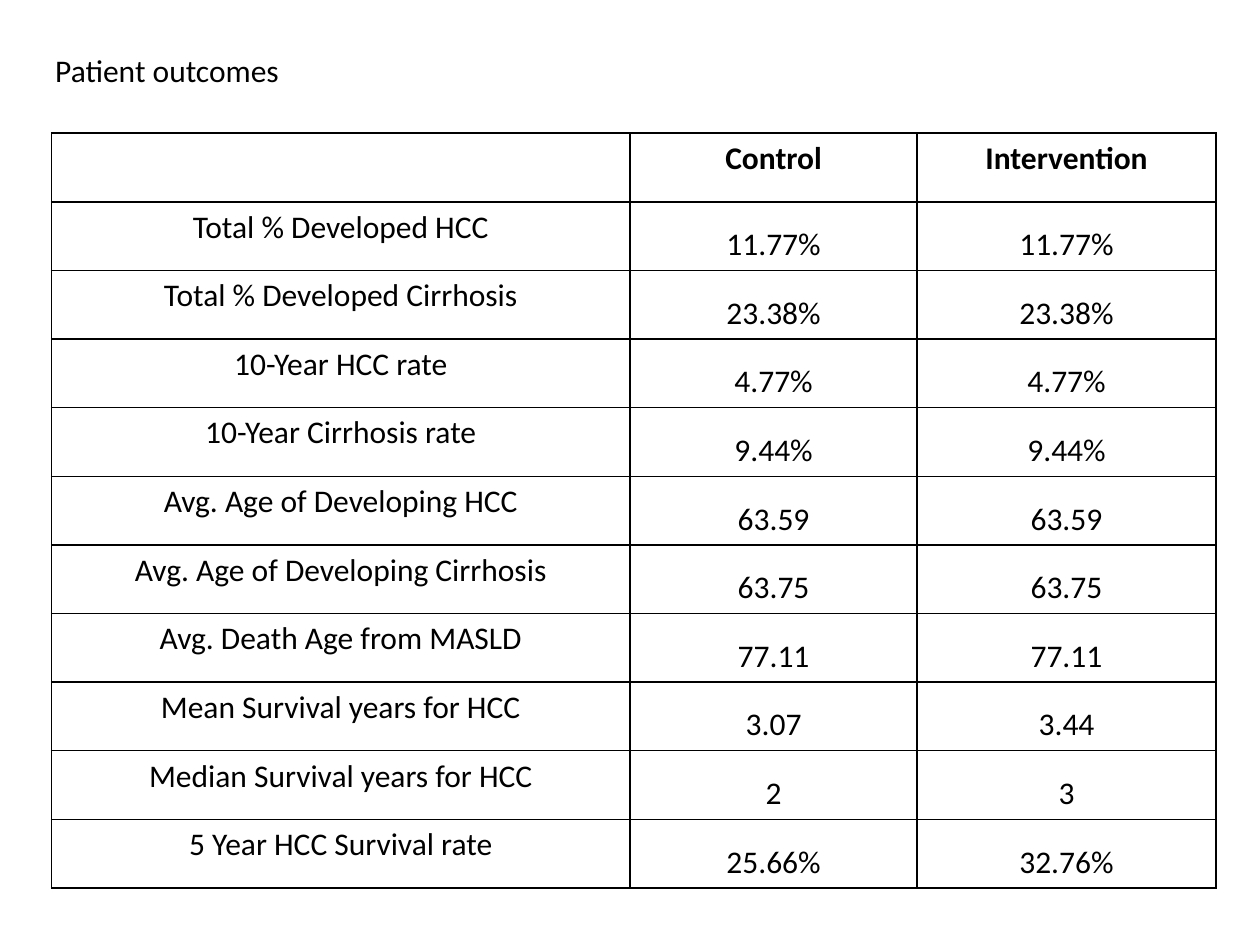
"""Build the patient outcomes slide."""
import dataclasses
import typing

import lxml.etree
import pptx
import pptx.dml.color
import pptx.enum.text
import pptx.oxml.ns
import pptx.util

BLACK = pptx.dml.color.RGBColor(0, 0, 0)
FONT = "Calibri"
SIZE = pptx.util.Pt(18)
WIDE = pptx.util.Inches(10)
HIGH = pptx.util.Inches(7.5)
COLS = (4.59, 2.28, 2.37)
STEP = 5.99 / 11
ALIGN = pptx.enum.text.PP_ALIGN
ANCHOR = pptx.enum.text.MSO_ANCHOR


@dataclasses.dataclass(frozen=True)
class Row:
    """One line of the outcomes table."""
    label: str
    control: str
    treated: str


HEAD = Row("", "Control", "Intervention")
ROWS = (
    Row("Total % Developed HCC", "11.77%", "11.77%"),
    Row("Total % Developed Cirrhosis", "23.38%", "23.38%"),
    Row("10-Year HCC rate", "4.77%", "4.77%"),
    Row("10-Year Cirrhosis rate", "9.44%", "9.44%"),
    Row("Avg. Age of Developing HCC", "63.59", "63.59"),
    Row("Avg. Age of Developing Cirrhosis", "63.75", "63.75"),
    Row("Avg. Death Age from MASLD", "77.11", "77.11"),
    Row("Mean Survival years for HCC", "3.07", "3.44"),
    Row("Median Survival years for HCC", "2", "3"),
    Row("5 Year HCC Survival rate", "25.66%", "32.76%"),
)


def write(para: typing.Any, text: str, bold: bool = False) -> None:
    """Add one run of text to a paragraph."""
    run = para.add_run()
    run.text = text
    run.font.name = FONT
    run.font.size = SIZE
    run.font.bold = bold
    run.font.color.rgb = BLACK


def frame(cell: typing.Any) -> None:
    """Clear the fill of a cell and rule its four sides."""
    cell.fill.background()
    props = cell._tc.get_or_add_tcPr()
    name = pptx.oxml.ns.qn
    for spot, side in enumerate(("lnL", "lnR", "lnT", "lnB")):
        line = lxml.etree.Element(name(f"a:{side}"), w=str(pptx.util.Pt(1)))
        fill = lxml.etree.SubElement(line, name("a:solidFill"))
        lxml.etree.SubElement(fill, name("a:srgbClr"), val=str(BLACK))
        props.insert(spot, line)


def title(slide: typing.Any) -> None:
    """Draw the heading."""
    box = slide.shapes.add_textbox(int(WIDE * 0.034), int(HIGH * 0.041),
                                   int(WIDE * 0.397), int(HIGH * 0.067))
    box.text_frame.word_wrap = True
    box.text_frame.vertical_anchor = ANCHOR.MIDDLE
    write(box.text_frame.paragraphs[0], "Patient outcomes")


def grid(slide: typing.Any) -> None:
    """Draw the outcomes table."""
    lines = (HEAD, *ROWS)
    table = slide.shapes.add_table(
        len(lines), len(COLS), int(WIDE * 0.041), int(HIGH * 0.141),
        pptx.util.Inches(sum(COLS)), pptx.util.Inches(STEP * len(lines))).table
    table.first_row = False
    table.horz_banding = False
    for col, width in zip(table.columns, COLS):
        col.width = pptx.util.Inches(width)
    for row, line in enumerate(lines):
        for col, text in enumerate(dataclasses.astuple(line)):
            cell = table.cell(row, col)
            frame(cell)
            cell.vertical_anchor = ANCHOR.BOTTOM if row and col else ANCHOR.TOP
            para = cell.text_frame.paragraphs[0]
            para.alignment = ALIGN.CENTER
            if text:
                write(para, text, bold=row == 0)


def main() -> None:
    """Build and save the deck."""
    deck = pptx.Presentation()
    deck.slide_width, deck.slide_height = WIDE, HIGH
    slide = deck.slides.add_slide(deck.slide_layouts[6])
    title(slide)
    grid(slide)
    deck.save("out.pptx")


if __name__ == "__main__":
    main()
